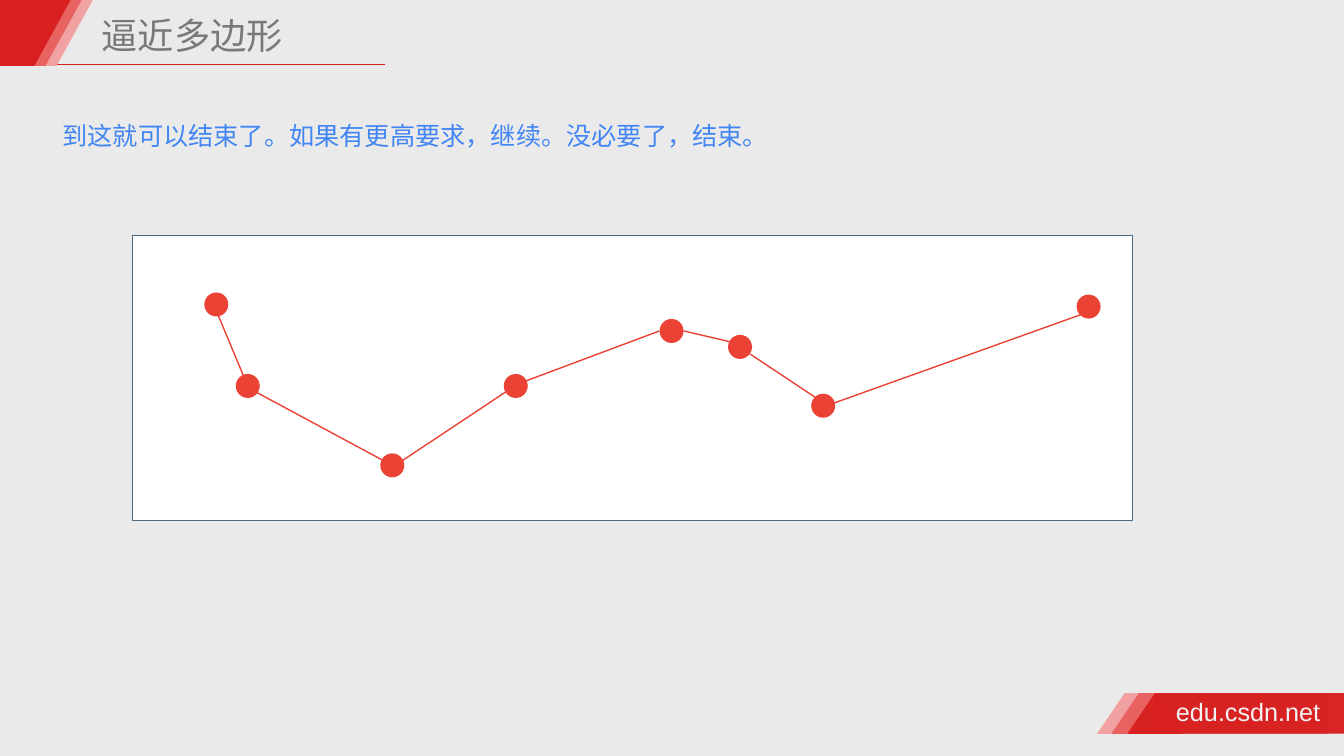
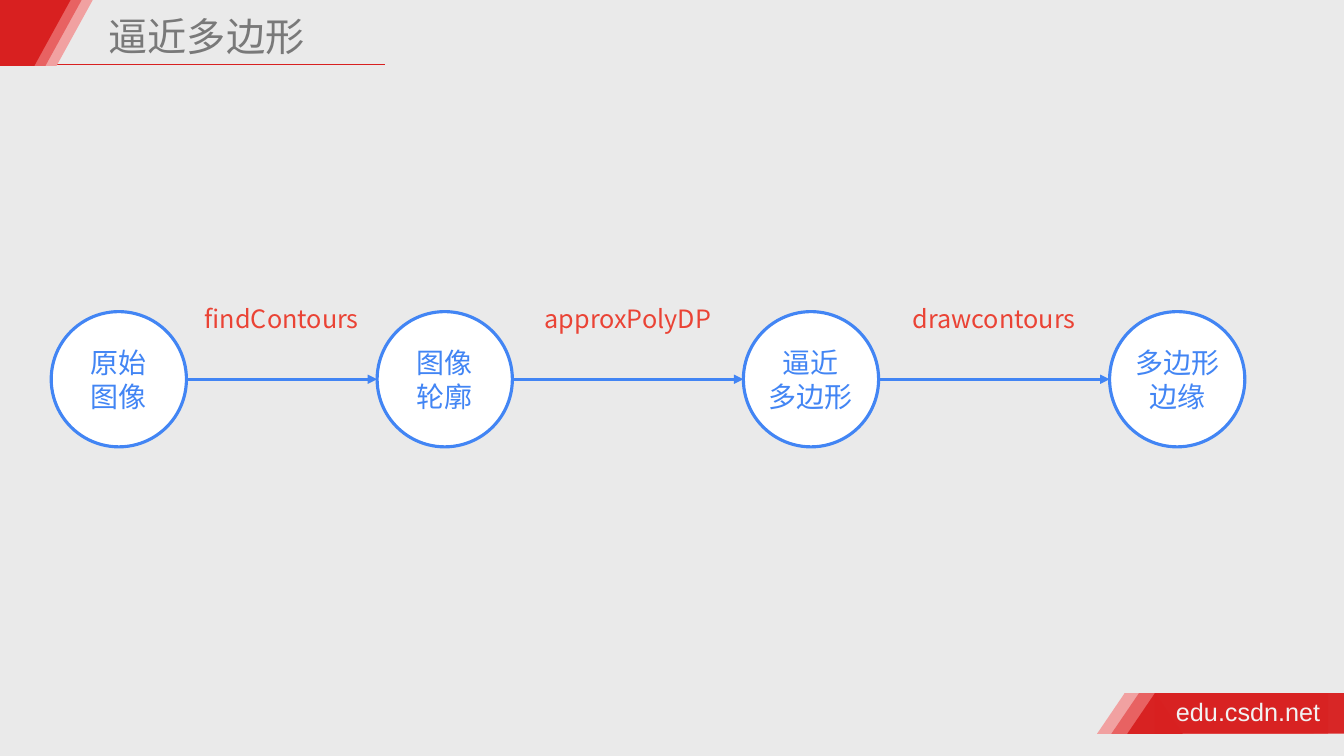
from dataclasses import dataclass
from itertools import pairwise
from typing import NamedTuple

import pptx
import pptx.dml.color
import pptx.enum.dml
import pptx.enum.shapes
import pptx.enum.text
import pptx.oxml
import pptx.oxml.ns
import pptx.util

Shape = pptx.enum.shapes.MSO_SHAPE
Align = pptx.enum.text.PP_ALIGN
Anchor = pptx.enum.text.MSO_ANCHOR
qn = pptx.oxml.ns.qn

COLUMNS, ROWS = 160, 90
CELL = pptx.util.Inches(7.5) / ROWS


@dataclass(frozen=True)
class Theme:
    background: str = "EAEAEA"
    red: str = "D82020"
    rose: str = "E86262"
    pink: str = "F1A1A1"
    title: str = "797979"
    address: str = "F2F2F2"
    white: str = "FFFFFF"
    blue: str = "4285F4"
    coral: str = "EA4335"
    panel_edge: str = "4A6982"
    cjk: str = "Noto Sans CJK SC"
    latin: str = "Arial"
    body_size: float = 18
    node_size: float = 20
    thin: float = 1
    thick: float = 2.25


THEME = Theme()


class Point(NamedTuple):
    x: float
    y: float

    def shifted(self, by: "Point") -> "Point":
        return Point(self.x + by.x, self.y + by.y)


class Box(NamedTuple):
    left: float
    top: float
    width: float
    height: float


@dataclass(frozen=True)
class TextStyle:
    size: float
    color: str
    font: str = THEME.cjk
    align: Align = Align.LEFT
    spacing: float = 1.0
    anchor: Anchor = Anchor.TOP
    wrap: bool = True
    inset: float = 0.6


@dataclass(frozen=True)
class Title:
    box: Box
    size: float
    spacing: float


@dataclass(frozen=True)
class Stripe:
    apex: float
    color: str
    alpha: int = 100


@dataclass(frozen=True)
class Vertex:
    center: Point
    arrive: Point = Point(0, 0)
    leave: Point = Point(0, 0)


@dataclass(frozen=True)
class Stage:
    left: float
    caption: str
    next_call: str = ""


TITLE_TEXT = "逼近多边形"
CORNER = [Stripe(6.72, THEME.pink), Stripe(5.4, THEME.rose), Stripe(4.08, THEME.red)]
FOOTER = [Stripe(133.9, THEME.pink), Stripe(135.6, THEME.rose),
          Stripe(137.5, THEME.red, 97)]
VERTICES = [
    Vertex(Point(25.75, 36.25), leave=Point(-0.1, 0.5)),
    Vertex(Point(29.5, 45.95), arrive=Point(0.2, 0.5), leave=Point(0.1, 0.25)),
    Vertex(Point(46.7, 55.4), leave=Point(-0.4, 0.5)),
    Vertex(Point(61.4, 45.95), arrive=Point(-0.5, 0.25), leave=Point(-0.4, 0)),
    Vertex(Point(79.95, 39.4), arrive=Point(-1.44, 0), leave=Point(1.44, 0)),
    Vertex(Point(88.1, 41.3), arrive=Point(1.44, 0), leave=Point(1.2, 0.85)),
    Vertex(Point(98, 48.3), arrive=Point(-0.95, -1), leave=Point(0.4, 0)),
    Vertex(Point(129.6, 36.5), arrive=Point(-0.2, 0.7)),
]
DOT = 2.86
STAGES = [
    Stage(6.1, "原始\n图像", "findContours"),
    Stage(44.9, "图像\n轮廓", "approxPolyDP"),
    Stage(88.5, "逼近\n多边形", "drawcontours"),
    Stage(132.1, "多边形\n边缘"),
]
CIRCLE, CIRCLE_TOP = 16.1, 37.1


def emu(cells: float) -> pptx.util.Emu:
    return pptx.util.Emu(round(cells * CELL))


def rgb(color: str) -> pptx.dml.color.RGBColor:
    return pptx.dml.color.RGBColor.from_string(color)


def add_block(slide, kind: Shape, box: Box, fill: str, edge: str = "",
              edge_width: float = THEME.thin, alpha: int = 100):
    block = slide.shapes.add_shape(kind, *map(emu, box))
    block.shadow.inherit = False
    block.fill.solid()
    block.fill.fore_color.rgb = rgb(fill)
    if alpha < 100:
        tint = block.fill._xPr.find(f".//{qn('a:srgbClr')}")
        tint.append(pptx.oxml.parse_xml(
            f'<a:alpha {pptx.oxml.ns.nsdecls("a")} val="{alpha * 1000}"/>'))
    if edge:
        block.line.color.rgb = rgb(edge)
        block.line.width = pptx.util.Pt(edge_width)
    else:
        block.line.fill.background()
    return block


def add_line(slide, start: Point, end: Point, color: str,
             width: float = THEME.thin, arrow: bool = False) -> None:
    line = slide.shapes.add_connector(
        pptx.enum.shapes.MSO_CONNECTOR.STRAIGHT, *map(emu, (*start, *end)))
    line.line.color.rgb = rgb(color)
    line.line.width = pptx.util.Pt(width)
    if arrow:
        line.line._get_or_add_ln().append(pptx.oxml.parse_xml(
            f'<a:tailEnd {pptx.oxml.ns.nsdecls("a")} type="triangle"/>'))
    line._element.spPr.append(pptx.oxml.parse_xml(
        f'<a:effectLst {pptx.oxml.ns.nsdecls("a")}/>'))


def write(shape, text: str, style: TextStyle) -> None:
    frame = shape.text_frame
    frame.text = text
    frame.word_wrap = style.wrap
    frame.vertical_anchor = style.anchor
    frame.margin_left = frame.margin_right = emu(style.inset)
    frame.margin_top = frame.margin_bottom = emu(0.6)
    for paragraph in frame.paragraphs:
        paragraph.alignment = style.align
        paragraph.line_spacing = style.spacing
        for run in paragraph.runs:
            run.font.name = style.font
            run.font.size = pptx.util.Pt(style.size)
            run.font.color.rgb = rgb(style.color)
            run.font._element.append(pptx.oxml.parse_xml(
                f'<a:ea {pptx.oxml.ns.nsdecls("a")} typeface="{style.font}"/>'))


def add_text(slide, box: Box, text: str, style: TextStyle) -> None:
    write(slide.shapes.add_textbox(*map(emu, box)), text, style)


def add_stripes(slide, stripes: list[Stripe], top: float, height: float,
                slope: float, length: float, hanging: bool) -> None:
    for stripe in stripes:
        left = stripe.apex - length if hanging else stripe.apex
        add_block(slide, Shape.RECTANGLE, Box(left, top, length, height),
                  stripe.color, alpha=stripe.alpha)
        wedge = add_block(slide, Shape.ISOSCELES_TRIANGLE,
                          Box(stripe.apex - slope / 2, top, slope, height),
                          stripe.color, alpha=stripe.alpha)
        wedge.rotation = 180 if hanging else 0


def add_page(deck, title: Title):
    slide = deck.slides.add_slide(deck.slide_layouts[6])
    add_line(slide, Point(5.9, 7.7), Point(45.8, 7.7), THEME.red)
    add_stripes(slide, FOOTER, 82.5, 4.85, 6.6, 22.5, hanging=False)
    add_text(slide, Box(139.4, 82.35, 18.6, 4.8), "edu.csdn.net",
             TextStyle(THEME.body_size, THEME.address, THEME.latin, wrap=False))
    add_stripes(slide, CORNER, 0, 7.85, 8.64, 4.2, hanging=True)
    add_text(slide, title.box, TITLE_TEXT,
             TextStyle(title.size, THEME.title, spacing=title.spacing,
                       anchor=Anchor.MIDDLE))
    return slide


def build_polyline(deck) -> None:
    slide = add_page(deck, Title(Box(11.5, 0.6, 46.3, 6.7), 25.9, 1.1))
    add_block(slide, Shape.RECTANGLE, Box(15.75, 28, 119.05, 34),
              THEME.white, THEME.panel_edge)
    for here, there in pairwise(VERTICES):
        add_line(slide, here.center.shifted(here.leave),
                 there.center.shifted(there.arrive), THEME.coral)
    for vertex in VERTICES:
        add_block(slide, Shape.OVAL,
                  Box(vertex.center.x - DOT / 2, vertex.center.y - DOT / 2, DOT, DOT),
                  THEME.coral)
    add_text(slide, Box(6.25, 13.7, 116.3, 4.8),
             "到这就可以结束了。如果有更高要求，继续。没必要了，结束。",
             TextStyle(THEME.body_size, THEME.blue, inset=1.2))


def build_pipeline(deck) -> None:
    slide = add_page(deck, Title(Box(12.35, 1.4, 52.3, 6.4), 28, 0.9))
    caption = TextStyle(THEME.node_size, THEME.blue, align=Align.CENTER,
                        anchor=Anchor.MIDDLE, inset=0)
    call = TextStyle(THEME.body_size, THEME.coral, align=Align.CENTER,
                     spacing=1.5, wrap=False)
    for stage in STAGES:
        circle = add_block(slide, Shape.OVAL,
                           Box(stage.left, CIRCLE_TOP, CIRCLE, CIRCLE),
                           THEME.white, THEME.blue, THEME.thick)
        write(circle, stage.caption, caption)
    axis = CIRCLE_TOP + CIRCLE / 2
    for here, there in pairwise(STAGES):
        start = here.left + CIRCLE
        add_line(slide, Point(start, axis), Point(there.left, axis),
                 THEME.blue, THEME.thick, arrow=True)
        add_text(slide, Box(start, 33.7, there.left - start, 6.7),
                 here.next_call, call)


def main() -> None:
    deck = pptx.Presentation()
    deck.slide_width, deck.slide_height = emu(COLUMNS), emu(ROWS)
    backdrop = deck.slide_master.background.fill
    backdrop.solid()
    backdrop.fore_color.rgb = rgb(THEME.background)
    build_polyline(deck)
    build_pipeline(deck)
    deck.save("out.pptx")


if __name__ == "__main__":
    main()
